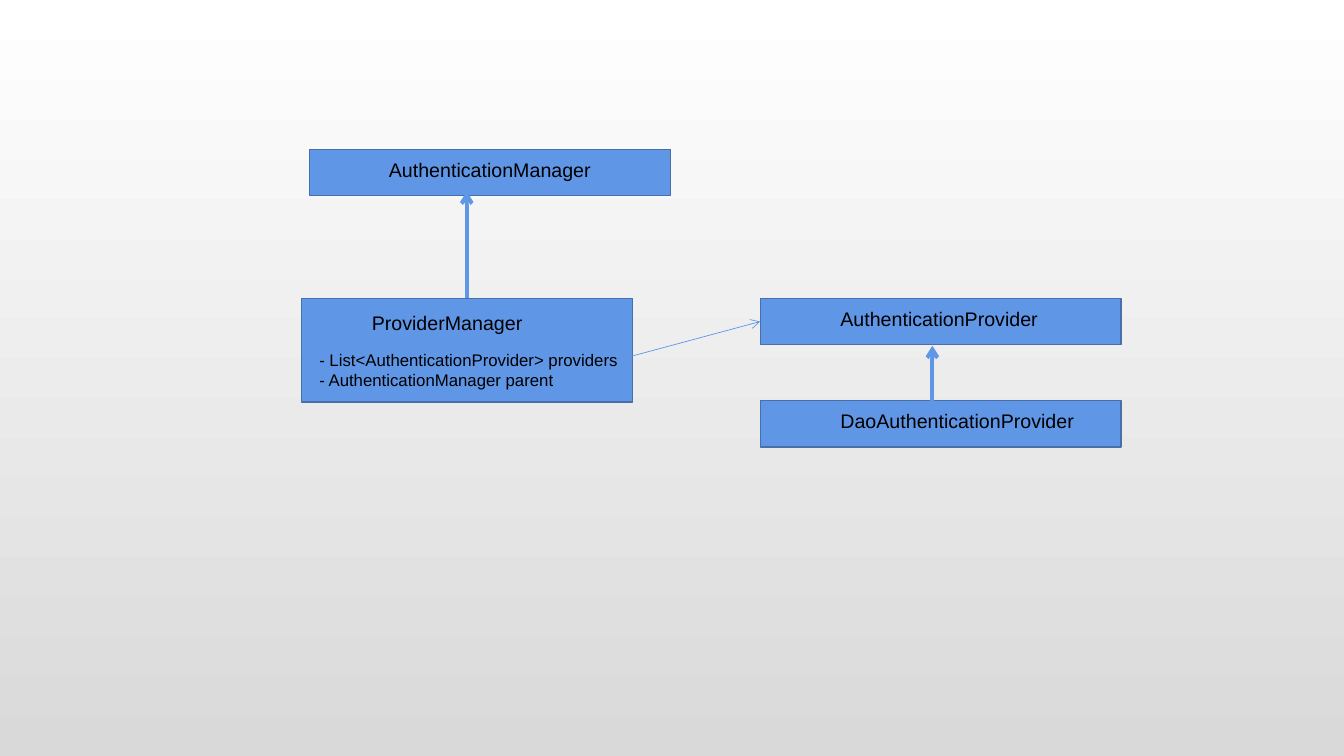
import pptx
import pptx.dml.color
import pptx.enum.shapes
import pptx.enum.text
import pptx.oxml
import pptx.oxml.ns
import pptx.util

Pt = pptx.util.Pt
COLORS = {"box": "6096E6", "border": "476FAA", "text": "000000",
          "top": "FFFFFF", "bottom": "D9D9D9"}
NAME_SIZE, FIELD_SIZE = 14, 12
BOX_WIDTH, BOX_HEIGHT = 257.8, 33.1
NAME_WIDTH, NAME_HEIGHT = 193, 41


def color(name):
    """Return the named colour."""
    return pptx.dml.color.RGBColor.from_string(COLORS[name])


class Diagram:
    """Hold the style and the slide of a class diagram."""

    def __init__(self, slide):
        """Keep the slide to draw on."""
        self.slide = slide

    def background(self):
        """Fill the slide with a vertical gradient."""
        fill = self.slide.background.fill
        fill.gradient()
        fill.gradient_angle = 270
        for stop, name in zip(fill.gradient_stops, ("top", "bottom")):
            stop.color.rgb = color(name)

    def box(self, left, top, width=BOX_WIDTH, height=BOX_HEIGHT):
        """Draw the rectangle of a class."""
        shape = self.slide.shapes.add_shape(
            pptx.enum.shapes.MSO_SHAPE.RECTANGLE,
            Pt(left), Pt(top), Pt(width), Pt(height))
        shape.shadow.inherit = False
        shape.fill.solid()
        shape.fill.fore_color.rgb = color("box")
        shape.line.color.rgb = color("border")
        shape.line.width = Pt(1)

    def text(self, lines, left, top, width=NAME_WIDTH, height=NAME_HEIGHT,
             size=NAME_SIZE):
        """Write one paragraph for each line."""
        frame = self.slide.shapes.add_textbox(
            Pt(left), Pt(top), Pt(width), Pt(height)).text_frame
        frame.word_wrap = True
        frame.vertical_anchor = pptx.enum.text.MSO_ANCHOR.TOP
        frame.text = "\n".join(lines)
        for paragraph in frame.paragraphs:
            font = paragraph.font
            for key, value in {"name": "Arial", "size": Pt(size)}.items():
                setattr(font, key, value)
            font.color.rgb = color("text")

    def arrow(self, start, end, width):
        """Draw a line with an open arrowhead at its end."""
        connector = self.slide.shapes.add_connector(
            pptx.enum.shapes.MSO_CONNECTOR.STRAIGHT,
            *(Pt(value) for value in (*start, *end)))
        connector.line.color.rgb = color("box")
        connector.line.width = Pt(width)
        namespace = pptx.oxml.ns.nsdecls("a")
        connector.line._get_or_add_ln().append(
            pptx.oxml.parse_xml(f'<a:tailEnd {namespace} type="arrow"/>'))
        connector._element.spPr.append(
            pptx.oxml.parse_xml(f"<a:effectLst {namespace}/>"))


presentation = pptx.Presentation()
presentation.slide_width, presentation.slide_height = Pt(960), Pt(540)
diagram = Diagram(presentation.slides.add_slide(presentation.slide_layouts[6]))
diagram.background()

diagram.box(221, 106.6)
diagram.text(["AuthenticationManager"], 270.7, 109.4)

diagram.box(215.2, 213.1, 236.8, 74.2)
diagram.text(["ProviderManager"], 258.5, 218.9)
diagram.text(["- List<AuthenticationProvider> providers",
              "- AuthenticationManager parent"],
             221, 246.2, 249.8, 36, FIELD_SIZE)

for class_name, top in (("AuthenticationProvider", 213.1),
                        ("DaoAuthenticationProvider", 286.3)):
    diagram.box(543, top)
    diagram.text([class_name], 593.2, top + 2.6)

for start, end, width in (((333.4, 213.1), (333.4, 136.8), 2.75),
                          ((666, 288.7), (666, 247), 2.75),
                          ((444.2, 256.3), (543, 229.7), 0.5)):
    diagram.arrow(start, end, width)

presentation.save("out.pptx")
